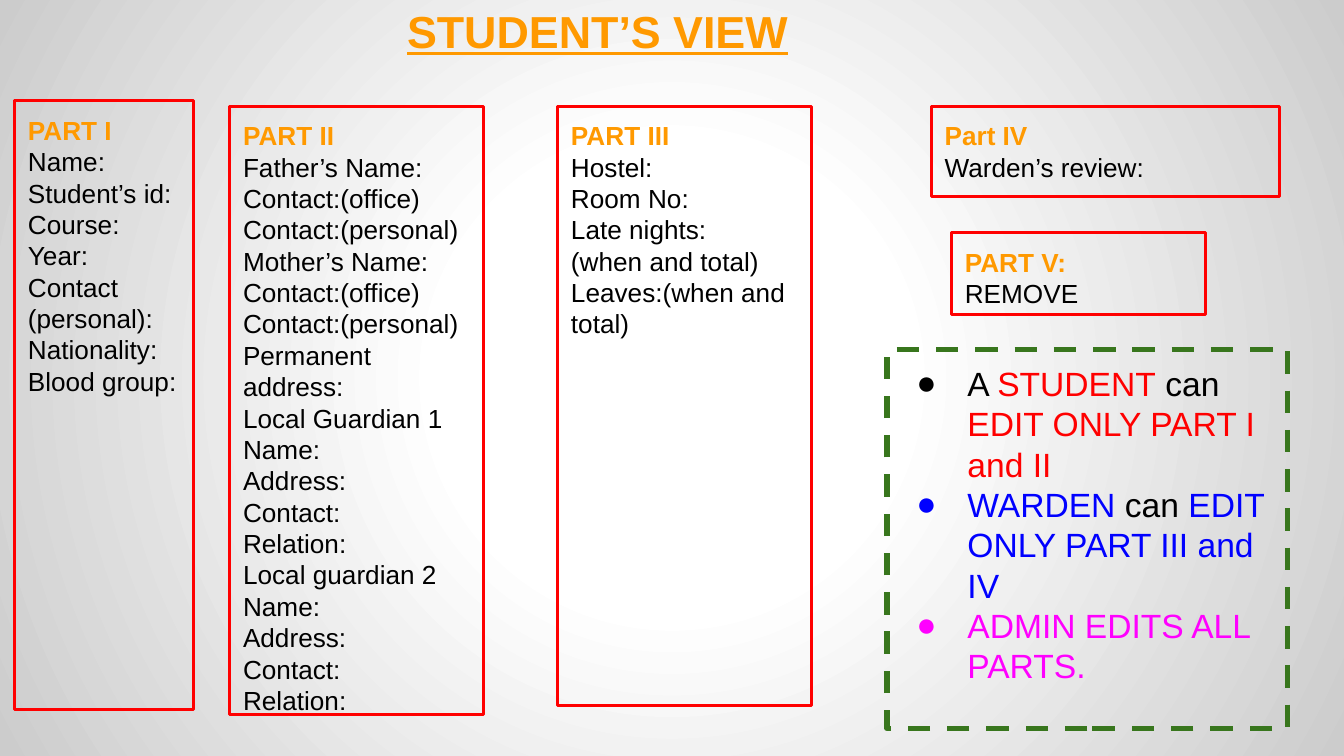
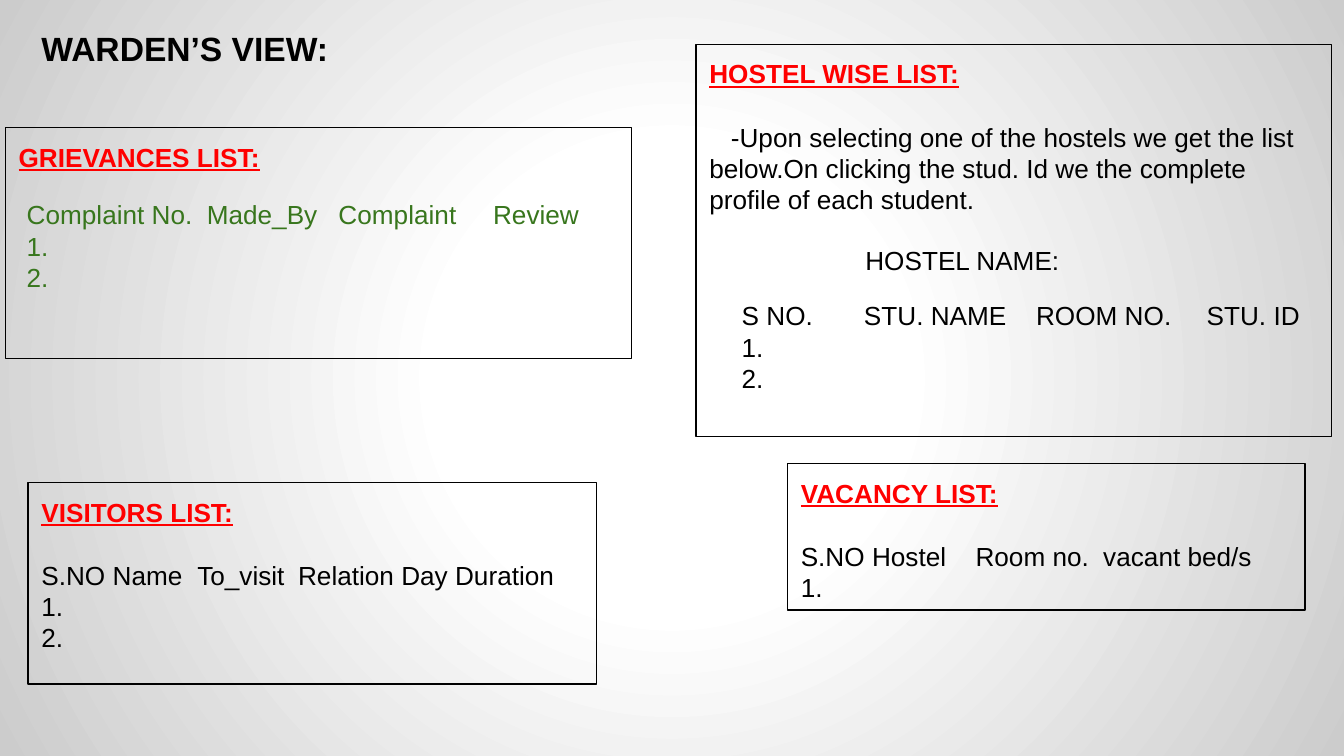
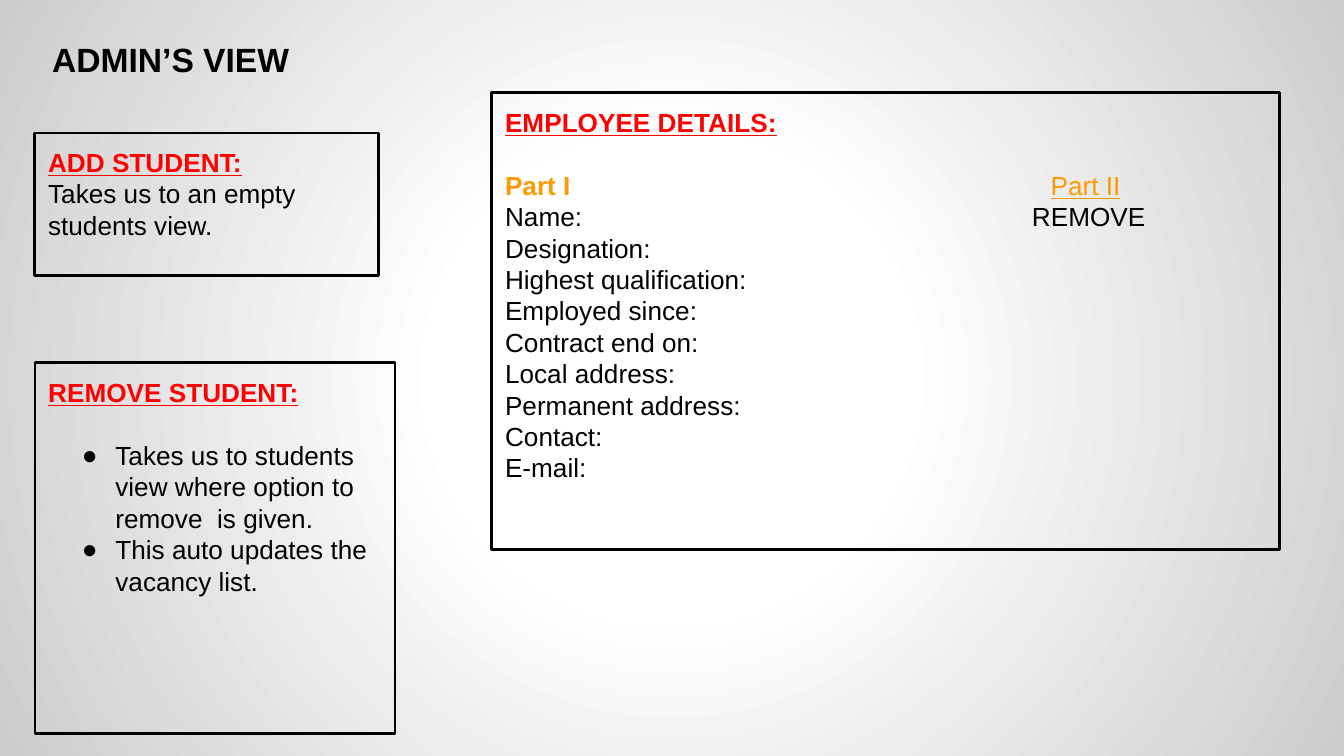
import pptx
import pptx.dml.color
import pptx.enum.dml
import pptx.enum.shapes
import pptx.enum.text
import pptx.oxml
import pptx.oxml.ns
import pptx.util
from lxml import etree

Inches, Pt = pptx.util.Inches, pptx.util.Pt
ALIGN = pptx.enum.text.PP_ALIGN
ANCHOR = pptx.enum.text.MSO_ANCHOR

# Shared look
FACE = "Arial"
BLACK, RED, ORANGE = "000000", "FF0000", "FF9900"
GREEN, BLUE, PINK = "38761D", "0000FF", "FF00FF"
STOPS = [(0, "FFFFFF"), (30, "FFFFFF"), (100, "CCCCCC")]
BLANK_LINE = 17


def tint(name):
    return pptx.dml.color.RGBColor.from_string(name)


def tag(parent, name, **attrs):
    """Append one DrawingML element."""
    return etree.SubElement(parent, pptx.oxml.ns.qn("a:" + name), attrs)


def add_page(deck):
    """Blank slide with the radial grey background."""
    page = deck.slides.add_slide(deck.slide_layouts[6])
    stops = "".join(
        f'<a:gs pos="{pos * 1000}"><a:srgbClr val="{hue}"/></a:gs>' for pos, hue in STOPS)
    back = pptx.oxml.parse_xml(
        f'<p:bg {pptx.oxml.ns.nsdecls("p", "a")}><p:bgPr><a:gradFill rotWithShape="0">'
        f'<a:gsLst>{stops}</a:gsLst><a:path path="circle">'
        '<a:fillToRect l="50000" t="50000" r="50000" b="50000"/></a:path>'
        '</a:gradFill><a:effectLst/></p:bgPr></p:bg>')
    page.element.cSld.insert(0, back)
    return page


# Text
def set_up(shape, anchor=ANCHOR.TOP):
    frame = shape.text_frame
    frame.word_wrap = True
    frame.vertical_anchor = anchor
    frame.margin_left = frame.margin_right = Inches(0.1)
    frame.margin_top = frame.margin_bottom = Inches(0.1)
    return frame


def put(frame, text, hue=BLACK, size=14, bold=False, under=False, gap=0,
        align=ALIGN.LEFT, tabs=(), hang=0, first=0):
    """Add a paragraph; text is a string or a list of (string, colour) runs."""
    para = frame.paragraphs[0]
    if para.runs:
        para = frame.add_paragraph()
    para.alignment = align
    para.space_before = Pt(gap)
    props = para._p.get_or_add_pPr()
    if hang:
        props.set("marL", str(Inches(0.5)))
        props.set("indent", str(-Inches(hang)))
        tag(props, "buFont", typeface=FACE)
        tag(props, "buChar", char="●")
    elif first:
        props.set("indent", str(Inches(first)))
    if tabs:
        stops = tag(props, "tabLst")
        for pos in tabs:
            tag(stops, "tab", pos=str(Inches(pos)), algn="l")
    font = para.font
    font.name, font.size = FACE, Pt(size)
    font.bold, font.underline = bold, under
    if isinstance(text, str):
        font.color.rgb = tint(hue)
        para.add_run().text = text
    else:
        for words, shade in text:
            run = para.add_run()
            run.text = words
            run.font.color.rgb = tint(shade)
    return para


def put_all(frame, lines):
    for line in lines:
        put(frame, line)


def add_text(page, *place):
    return set_up(page.shapes.add_textbox(*map(Inches, place)))


def add_title(page, place, text, **style):
    frame = set_up(page.shapes.add_textbox(*map(Inches, place)), ANCHOR.BOTTOM)
    put(frame, text, bold=True, **style)


# Outlined boxes
def add_box(page, place, edge=BLACK, width=1.5, dash=None):
    rect = pptx.enum.shapes.MSO_SHAPE.RECTANGLE
    box = page.shapes.add_shape(rect, *map(Inches, place))
    box.shadow.inherit = False
    box.fill.background()
    box.line.color.rgb = tint(edge)
    box.line.width = Pt(width)
    if dash:
        box.line.dash_style = dash
    return set_up(box)


def add_part(page, place, head, lines):
    frame = add_box(page, place, RED)
    put(frame, head, ORANGE, bold=True)
    put_all(frame, lines)


def add_list(page, place, head, width=0.75):
    frame = add_box(page, place, width=width)
    put(frame, head, RED, bold=True, under=True)
    return frame


def add_rows(frame, head, tabs, count, hue=BLACK, gap=0):
    """Column heads on tab stops, then numbered rows."""
    put(frame, head, hue, tabs=tabs, gap=gap)
    for num in range(1, count + 1):
        put(frame, f"{num}.", hue)


# Slides
def student(deck):
    page = add_page(deck)
    add_title(page, (2.52, 0.06, 3.85, 0.47), "STUDENT’S VIEW",
              hue=ORANGE, size=24, under=True, align=ALIGN.CENTER)
    add_part(page, (0.11, 0.75, 1.33, 4.53), "PART I", [
        "Name:", "Student’s id:", "Course:", "Year:", "Contact",
        "(personal):", "Nationality:", "Blood group:"])

    rules = add_box(page, (6.6, 2.6, 2.98, 2.82), GREEN, 3,
                    pptx.enum.dml.MSO_LINE.DASH)
    for text in (
            [("A ", BLACK), ("STUDENT", RED), (" can ", BLACK),
             ("EDIT ONLY PART I and II", RED)],
            [("WARDEN", BLUE), (" can ", BLACK), ("EDIT ONLY PART III and IV", BLUE)],
            [("ADMIN EDITS ALL PARTS.", PINK)]):
        put(rules, text, size=18, hang=0.38)

    phones = ["Contact:(office)", "Contact:(personal)"]
    guard = ["Name:", "Address:", "Contact:", "Relation:"]
    add_part(page, (1.71, 0.79, 1.89, 4.53), "PART II", [
        "Father’s Name:", *phones, "Mother’s Name:", *phones, "Permanent address:",
        "Local Guardian 1", *guard, "Local guardian 2", *guard])
    add_part(page, (4.15, 0.79, 1.89, 4.46), "PART III", [
        "Hostel:", "Room No:", "Late nights:", "(when and total)",
        "Leaves:(when and total)"])
    add_part(page, (6.93, 0.79, 2.59, 0.67), "Part IV", ["Warden’s review:"])
    add_part(page, (7.08, 1.73, 1.89, 0.61), "PART V:", ["REMOVE"])


def warden(deck):
    page = add_page(deck)
    add_title(page, (0.21, 0.15, 2.98, 0.46), "WARDEN’S VIEW:", size=18)
    add_list(page, (0.04, 0.95, 4.66, 1.72), "GRIEVANCES LIST:")

    hostel = add_list(page, (5.18, 0.33, 4.73, 2.92), "HOSTEL WISE LIST:")
    put(hostel, "-Upon selecting one of the hostels we get the list below."
        "On clicking the stud. Id we the complete profile of each student.",
        gap=BLANK_LINE, first=0.16)
    add_rows(add_text(page, 5.42, 2.13, 4.42, 0.87),
             "S NO.\tSTU. NAME\tROOM NO.\tSTU. ID", (0.91, 2.19, 3.46), 2)
    put(add_text(page, 6.34, 1.72, 2.31, 0.36), "HOSTEL NAME:")
    add_rows(add_text(page, 0.1, 1.38, 4.55, 0.87),
             "Complaint No.\tMade_By\tComplaint\tReview", (1.34, 2.32, 3.47), 2, GREEN)

    visits = add_list(page, (0.21, 3.59, 4.23, 1.5), "VISITORS LIST:")
    add_rows(visits, "S.NO Name\tTo_visit\tRelation Day Duration", (1.16, 1.91), 2,
             gap=BLANK_LINE)
    vacant = add_list(page, (5.86, 3.45, 3.85, 1.09), "VACANCY LIST:")
    add_rows(vacant, "S.NO Hostel\tRoom no.\tvacant bed/s", (1.3, 2.25), 1,
             gap=BLANK_LINE)


def admin(deck):
    page = add_page(deck)
    add_title(page, (0.29, 0.25, 2.5, 0.44), "ADMIN’S VIEW", size=18)
    put(add_list(page, (0.26, 0.99, 2.56, 1.06), "ADD STUDENT:", 1.5),
        "Takes us to an empty students view.")

    drop = add_list(page, (0.26, 2.7, 2.68, 2.76), "REMOVE STUDENT:", 1.5)
    put(drop, "Takes us to students view where option to remove  is given.",
        gap=BLANK_LINE, hang=0.25)
    put(drop, "This auto updates the vacancy list.", hang=0.25)

    staff = add_list(page, (3.66, 0.69, 5.86, 3.4), "EMPLOYEE DETAILS:", 1.5)
    heads = put(staff, [("Part I\t", ORANGE), ("Part II", ORANGE)],
                gap=BLANK_LINE, tabs=[4.06])
    left, right = heads.runs
    left.font.bold = True
    right.font.underline = True
    put(staff, "Name:\tREMOVE", tabs=[3.92])
    put_all(staff, [
        "Designation:", "Highest qualification:", "Employed since:",
        "Contract end on:", "Local address:", "Permanent address:",
        "Contact:", "E-mail:"])


def main():
    deck = pptx.Presentation()
    # Widescreen, 16 to 9
    deck.slide_width = Inches(10)
    deck.slide_height = Inches(10 * 9 / 16)
    student(deck)
    warden(deck)
    admin(deck)
    deck.save("out.pptx")


if __name__ == "__main__":
    main()
